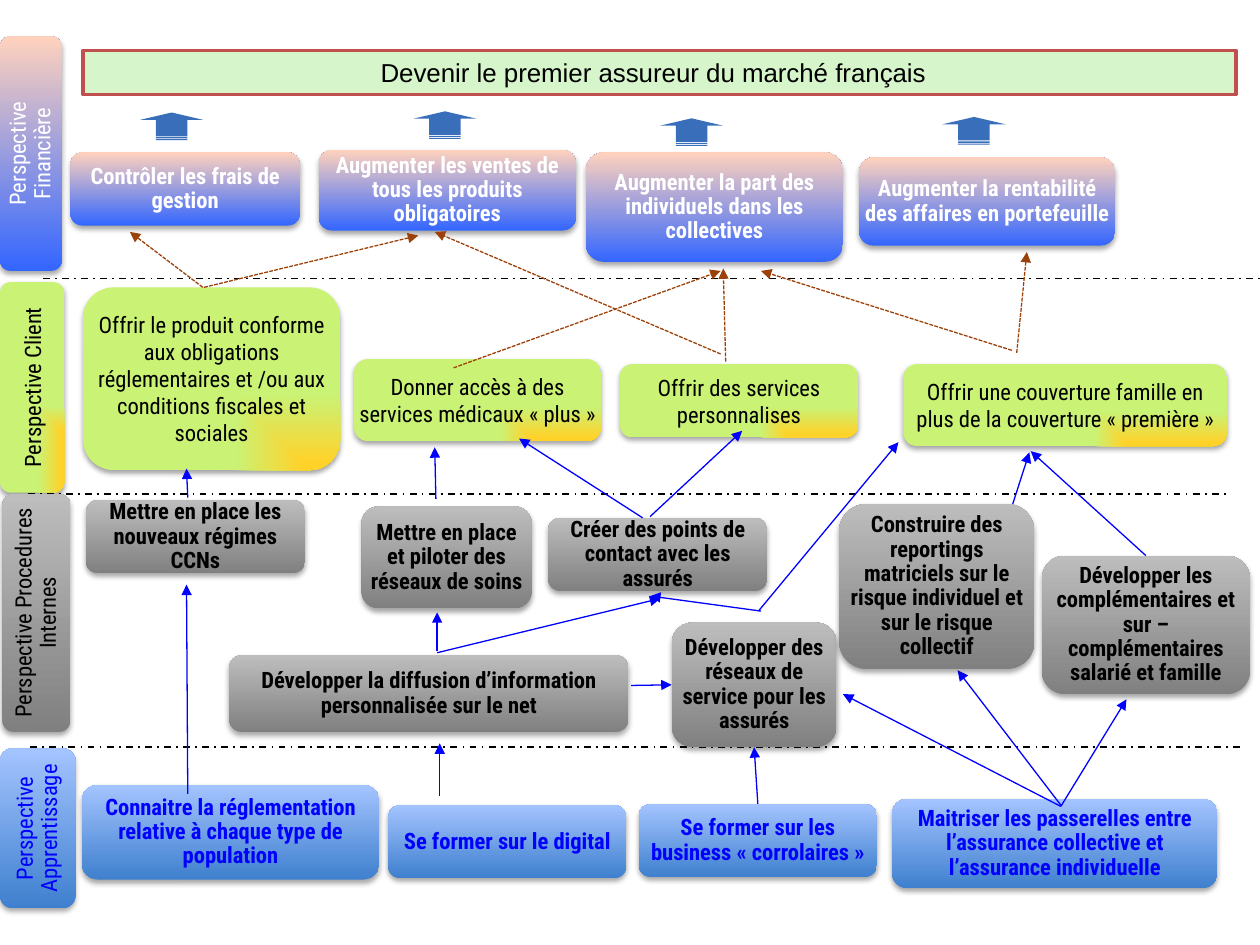
"""Build the strategy map of an insurer: four perspectives, their goals and the links between them."""
from math import dist

from lxml import etree
from pptx import Presentation
from pptx.dml.color import RGBColor
from pptx.enum.dml import MSO_LINE
from pptx.enum.shapes import MSO_CONNECTOR, MSO_SHAPE
from pptx.enum.text import MSO_ANCHOR, MSO_AUTO_SIZE, PP_ALIGN
from pptx.oxml import parse_xml
from pptx.oxml.ns import nsdecls, qn
from pptx.util import Pt

STRAIGHT = MSO_CONNECTOR.STRAIGHT
ROUNDED = MSO_SHAPE.ROUNDED_RECTANGLE
DASH_DOT, SHORT_DASH = MSO_LINE.DASH_DOT, MSO_LINE.SQUARE_DOT
MIDDLE, CENTER = MSO_ANCHOR.MIDDLE, PP_ALIGN.CENTER

BLACK = RGBColor(0x00, 0x00, 0x00)
WHITE = RGBColor(0xFF, 0xFF, 0xFF)
BLUE = RGBColor(0x00, 0x00, 0xFF)
BROWN = RGBColor(0x9C, 0x41, 0x09)
RED = RGBColor(0xC0, 0x50, 0x4D)
PALE_GREEN = RGBColor(0xD7, 0xF5, 0xCA)
ARROW_BLUE = RGBColor(0x39, 0x6F, 0xBA)
ROYAL, PEACH = RGBColor(0x33, 0x66, 0xFF), RGBColor(0xFF, 0xD2, 0xBD)
AMBER, LIME = RGBColor(0xFF, 0xD2, 0x29), RGBColor(0xCA, 0xF2, 0x75)
GREY, SILVER = RGBColor(0x80, 0x80, 0x80), RGBColor(0xBD, 0xBD, 0xBD)
STEEL, SKY = RGBColor(0x3F, 0x80, 0xCE), RGBColor(0xA4, 0xC4, 0xFF)

FONT, FONT_SIZE = "Roboto Condensed", 12.9
SNAP = 4

GOAL = "Devenir le premier assureur du marché français"
GOAL_AREA = (47.5, 28.8, 658.8, 25.2)
FRONT_GOAL = "Construire des reportings matriciels sur le risque individuel et sur le risque collectif"

PERSPECTIVES = [
    {"name": "Perspective\nFinancière", "tab": (0, 20.9, 35.3, 133.9),
     "colors": (ROYAL, PEACH), "ink": WHITE, "client": False,
     "goals": [
         ("Contrôler les frais de gestion", (40.3, 87.1, 131, 41.8)),
         ("Augmenter les ventes de tous les produits obligatoires", (182.2, 85.7, 146.9, 46.1)),
         ("Augmenter la part des individuels dans les collectives", (334.8, 87.1, 146.9, 62.6)),
         ("Augmenter la rentabilité des affaires en portefeuille", (491, 90, 146.2, 50.4))]},
    {"name": "Perspective Client", "tab": (0, 161.3, 36.7, 120.2),
     "colors": (AMBER, LIME), "ink": BLACK, "client": True,
     "goals": [
         ("Offrir le produit conforme aux obligations réglementaires et /ou aux conditions "
          "fiscales et sociales", (47.5, 164.2, 146.9, 104.4)),
         ("Donner accès à des services médicaux « plus »", (202.3, 205.2, 141.1, 46.8)),
         ("Offrir des services personnalises", (354.2, 208.1, 136.1, 41.8)),
         ("Offrir une couverture famille en plus de la couverture « première »",
          (516.2, 208.1, 185, 46.8))]},
    {"name": "Perspective Procedures Internes", "tab": (1.4, 282.2, 38.9, 136.1),
     "colors": (GREY, SILVER), "ink": BLACK, "client": False,
     "goals": [
         ("Mettre en place les nouveaux régimes CCNs", (49, 285.8, 125.3, 41.8)),
         ("Mettre en place et piloter des réseaux de soins", (206.6, 289.4, 97.2, 58.3)),
         ("Créer des points de contact avec les assurés", (313.2, 295.9, 125.3, 41.8)),
         ("Développer la diffusion d’information personnalisée sur le net",
          (131, 374.4, 228.2, 43.9)),
         ("Développer des réseaux de service pour les assurés", (383.8, 355.7, 94.3, 71.3)),
         (FRONT_GOAL, (479.5, 288, 111.6, 94.3)),
         ("Développer les complémentaires et sur – complémentaires salarié et famille",
          (595.4, 317.5, 118.8, 79.2))]},
    {"name": "Perspective\nApprentissage", "tab": (0, 427.7, 43.2, 91.4),
     "colors": (STEEL, SKY), "ink": BLUE, "client": False,
     "goals": [
         ("Connaitre la réglementation relative à chaque type de population",
          (46.8, 448.6, 169.9, 54)),
         ("Se former sur le digital", (221.8, 460.1, 136.1, 41.8)),
         ("Se former sur les business « corrolaires »", (365, 459.4, 136.1, 41.8)),
         ("Maitriser les passerelles entre l’assurance collective et l’assurance individuelle",
          (509.8, 456.5, 185.8, 51.1))]},
]

SEPARATORS = [(24.5, 159.1, 725, 159.1), (15.8, 282.2, 701.3, 282.2), (17.3, 427, 708.5, 427)]
PROCESS_LINKS = [
    (107.3, 453.6, 106.6, 334.1), (367.2, 295.9, 296.6, 250.6), (606.2, 460.1, 547.2, 383),
    (360.7, 391.7, 383.8, 390.2), (249.8, 372.2, 249.8, 349.9), (371.5, 295.2, 424.1, 246.2),
    (107.3, 284.4, 106.6, 267.8), (655.2, 316.8, 589, 257.8), (249.8, 373, 377.3, 342),
    (251.3, 455, 251.3, 424.8), (434.9, 349.2, 371.5, 340.6), (249.1, 285.1, 248.4, 255.6),
    (560.9, 343.4, 588.2, 258.5), (606.2, 460.8, 481.7, 396.7), (606.2, 460.8, 643.7, 399.6),
    (433.4, 349.2, 513.4, 252.7), (434.2, 457.2, 434.2, 427),
]
FINANCE_LINKS = [
    (414.7, 206.6, 413.3, 153.4), (578.2, 200.2, 434.9, 154.8), (411.8, 202.3, 248.4, 132.5),
    (581, 201.6, 586.8, 144), (116.6, 164.2, 239, 134.6), (259.2, 210.2, 411.8, 154.8),
    (115.9, 164.2, 74.2, 132.5),
]

ARROW_ORIGINS = [(80.1, 64.3), (236.3, 63.6), (377.2, 67.6), (538.6, 66.8)]
ARROW_HEAD = [(0, 42), (90, 42), (90, 135), (270, 135), (270, 42), (360, 42), (180, 0)]
ARROW_STRIPES = [[(90, top), (270, top), (270, bottom), (90, bottom)]
                 for top, bottom in ((140, 148), (153, 158))]


def points(values):
    return [Pt(value) for value in values]


def format_text(shape, text, font, size, color, bold=False, spacing=1.0, insets=(0, 0, 0, 0)):
    frame = shape.text_frame
    frame.text = text
    frame.word_wrap = True
    frame.auto_size = MSO_AUTO_SIZE.NONE
    frame.vertical_anchor = MIDDLE
    (frame.margin_left, frame.margin_top,
     frame.margin_right, frame.margin_bottom) = points(insets)
    for paragraph in frame.paragraphs:
        paragraph.alignment = CENTER
        paragraph.line_spacing = spacing
        for run in paragraph.runs:
            run.font.name, run.font.size = font, Pt(size)
            run.font.bold, run.font.color.rgb = bold, color


def fill_gradient(shape, colors, from_corner):
    shape.fill.gradient()
    shape.fill.gradient_angle = 90
    positions = (0.08, 0.82) if from_corner else (0, 1)
    for stop, color, position in zip(shape.fill.gradient_stops, colors, positions):
        stop.color.rgb, stop.position = color, position
    if from_corner:
        linear = shape._element.spPr.find(".//" + qn("a:lin"))
        linear.getparent().replace(linear, parse_xml(
            f'<a:path {nsdecls("a")} path="rect"><a:fillToRect l="100000" t="100000"/></a:path>'))


def add_shadow(shape):
    shape.shadow.inherit = False
    shape._element.spPr.find(qn("a:effectLst")).append(parse_xml(
        f'<a:outerShdw {nsdecls("a")} blurRad="{Pt(3.1)}" dist="{Pt(1.8)}" dir="5400000" '
        'rotWithShape="0"><a:srgbClr val="000000"><a:alpha val="35000"/></a:srgbClr>'
        '</a:outerShdw>'))


def add_box(slide, text, area, perspective, bold):
    shape = slide.shapes.add_shape(ROUNDED, *points(area))
    fill_gradient(shape, perspective["colors"], perspective["client"])
    shape.line.fill.background()
    add_shadow(shape)
    spacing = 1.0 if perspective["client"] else 0.9
    format_text(shape, text, FONT, FONT_SIZE, perspective["ink"], bold, spacing)
    return shape


def find_site(point, boxes):
    for shape, (left, top, width, height) in boxes:
        middle_x, middle_y = left + width / 2, top + height / 2
        sites = [(middle_x, top), (left, middle_y),
                 (middle_x, top + height), (left + width, middle_y)]
        for index, site in enumerate(sites):
            if dist(point, site) <= SNAP:
                return shape, index
    return None


def add_line(slide, ends, color, width, dash=None, arrow=False, boxes=()):
    line = slide.shapes.add_connector(STRAIGHT, *points(ends))
    line.line.color.rgb, line.line.width = color, Pt(width)
    if dash:
        line.line.dash_style = dash
    if arrow:
        etree.SubElement(line.line._get_or_add_ln(), qn("a:tailEnd"), type="triangle")
    etree.SubElement(line._element.spPr, qn("a:effectLst"))
    for point, connect in ((ends[:2], line.begin_connect), (ends[2:], line.end_connect)):
        site = find_site(point, boxes)
        if site:
            connect(*site)


def add_striped_arrow(slide, origin):
    builder = slide.shapes.build_freeform(*ARROW_HEAD[0], scale=Pt(0.1))
    builder.add_line_segments(ARROW_HEAD[1:])
    for stripe in ARROW_STRIPES:
        builder.move_to(*stripe[0])
        builder.add_line_segments(stripe[1:])
    arrow = builder.convert_to_shape(*points(origin))
    arrow.shadow.inherit = False
    arrow.fill.solid()
    arrow.fill.fore_color.rgb = ARROW_BLUE
    arrow.line.fill.background()


def main():
    presentation = Presentation()
    presentation.slide_width, presentation.slide_height = Pt(720), Pt(540)
    slide = presentation.slides.add_slide(presentation.slide_layouts[5])
    title = slide.shapes.title
    title.left, title.top, title.width, title.height = points(GOAL_AREA)
    title.fill.solid()
    title.fill.fore_color.rgb = PALE_GREEN
    title.line.color.rgb, title.line.width = RED, Pt(2)
    format_text(title, GOAL, "Arial", 14.8, BLACK, insets=(0, 3.6, 7.2, 3.6))

    for ends in SEPARATORS:
        add_line(slide, ends, BLACK, 1, DASH_DOT)
    for origin in ARROW_ORIGINS:
        add_striped_arrow(slide, origin)
    boxes = []
    for perspective in PERSPECTIVES:
        tab = add_box(slide, perspective["name"], perspective["tab"], perspective, False)
        tab.text_frame._txBody.bodyPr.set("vert", "vert270")
        for text, area in perspective["goals"]:
            bold = not perspective["client"]
            boxes.append((add_box(slide, text, area, perspective, bold), area))
    for ends in PROCESS_LINKS:
        add_line(slide, ends, BLUE, 0.75, arrow=True, boxes=boxes)
    for ends in FINANCE_LINKS:
        add_line(slide, ends, BROWN, 0.75, SHORT_DASH, True, boxes)
    for shape, _ in boxes:
        if shape.text_frame.text == FRONT_GOAL:
            shape._element.getparent().append(shape._element)
    presentation.save("out.pptx")


if __name__ == "__main__":
    main()
